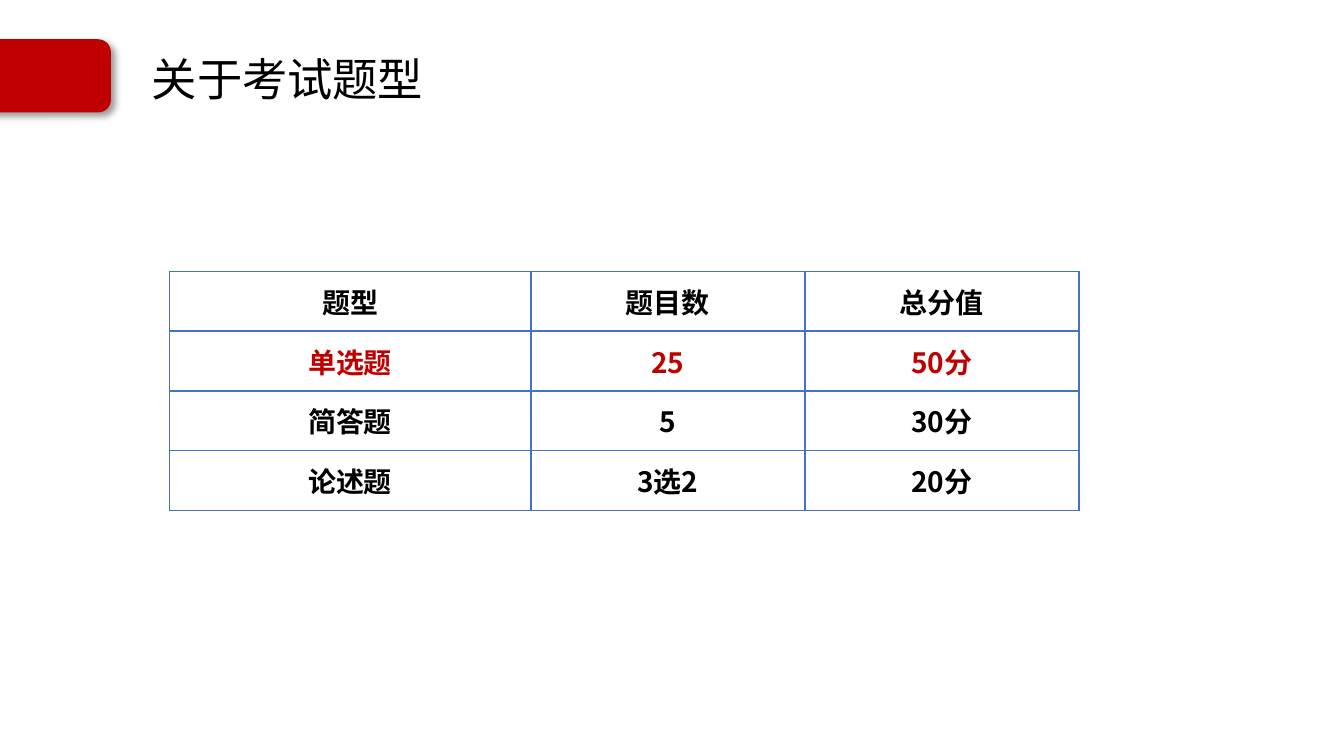
import pptx
import pptx.dml.color
import pptx.enum.shapes
import pptx.enum.text
import pptx.oxml
import pptx.oxml.ns
import pptx.util
from pptx.util import Cm

TITLE = "关于考试题型"
ROWS = [
    ("题型", "题目数", "总分值"),
    ("单选题", "25", "50分"),
    ("简答题", "5", "30分"),
    ("论述题", "3选2", "20分"),
]
HIGHLIGHTED_ROW = 1
COLUMN_WIDTHS = (6.83, 5.18, 5.18)
ROW_HEIGHT = 1.13
RED, BLACK, BLUE = "C00000", "000000", "4472C4"
CHINESE_FONT = "Noto Sans CJK SC"
NAMESPACE = pptx.oxml.ns.nsdecls("a")


def color(value):
    return pptx.dml.color.RGBColor.from_string(value)


def style(paragraph, font_name, size, text_color, bold=False):
    font = paragraph.font
    font.name = font_name
    font.size = pptx.util.Pt(size)
    font.bold = bold
    font.color.rgb = color(text_color)
    properties = paragraph._p.pPr.find(pptx.oxml.ns.qn("a:defRPr"))
    properties.append(pptx.oxml.parse_xml(f'<a:ea {NAMESPACE} typeface="{CHINESE_FONT}"/>'))


def add_borders(cell):
    properties = cell._tc.get_or_add_tcPr()
    for position, side in enumerate(("lnL", "lnR", "lnT", "lnB")):
        properties.insert(position, pptx.oxml.parse_xml(
            f'<a:{side} {NAMESPACE} w="12700"><a:solidFill>'
            f'<a:srgbClr val="{BLUE}"/></a:solidFill></a:{side}>'))


def add_tab(slide):
    tab = slide.shapes.add_shape(
        pptx.enum.shapes.MSO_SHAPE.ROUNDED_RECTANGLE, Cm(-0.36), Cm(0.76), Cm(2.44), Cm(1.35))
    tab.fill.solid()
    tab.fill.fore_color.rgb = color(RED)
    tab.line.color.rgb = color(RED)
    tab.line.width = pptx.util.Pt(1)
    tab._element.spPr.append(pptx.oxml.parse_xml(
        f'<a:effectLst {NAMESPACE}><a:outerShdw blurRad="50800" dist="38100" dir="2700000" '
        f'algn="tl" rotWithShape="0"><a:srgbClr val="{BLACK}"><a:alpha val="40000"/>'
        '</a:srgbClr></a:outerShdw></a:effectLst>'))


def add_title(slide):
    frame = slide.shapes.add_textbox(Cm(2.62), Cm(0.97), Cm(19.38), Cm(1.14)).text_frame
    frame.word_wrap = True
    frame.vertical_anchor = pptx.enum.text.MSO_ANCHOR.MIDDLE
    paragraph = frame.paragraphs[0]
    paragraph.text = TITLE
    paragraph.line_spacing = 0.9
    style(paragraph, "Calibri", 24.3, BLACK)


def add_question_table(slide):
    table = slide.shapes.add_table(
        len(ROWS), len(COLUMN_WIDTHS), Cm(3.2), Cm(5.13),
        Cm(sum(COLUMN_WIDTHS)), Cm(ROW_HEIGHT * len(ROWS))).table
    for column, width in zip(table.columns, COLUMN_WIDTHS):
        column.width = Cm(width)
    for row_index, values in enumerate(ROWS):
        table.rows[row_index].height = Cm(ROW_HEIGHT)
        text_color = RED if row_index == HIGHLIGHTED_ROW else BLACK
        for column_index, value in enumerate(values):
            cell = table.cell(row_index, column_index)
            cell.fill.background()
            cell.vertical_anchor = pptx.enum.text.MSO_ANCHOR.MIDDLE
            cell.margin_left = cell.margin_right = Cm(0.18)
            cell.margin_top = cell.margin_bottom = Cm(0.1)
            add_borders(cell)
            paragraph = cell.text_frame.paragraphs[0]
            paragraph.text = value
            paragraph.alignment = pptx.enum.text.PP_ALIGN.CENTER
            style(paragraph, CHINESE_FONT, 15, text_color, bold=True)


def main():
    presentation = pptx.Presentation()
    presentation.slide_width = Cm(25.4)
    presentation.slide_height = Cm(14.29)
    slide = presentation.slides.add_slide(presentation.slide_layouts[6])
    add_tab(slide)
    add_title(slide)
    add_question_table(slide)
    presentation.save("out.pptx")


if __name__ == "__main__":
    main()
